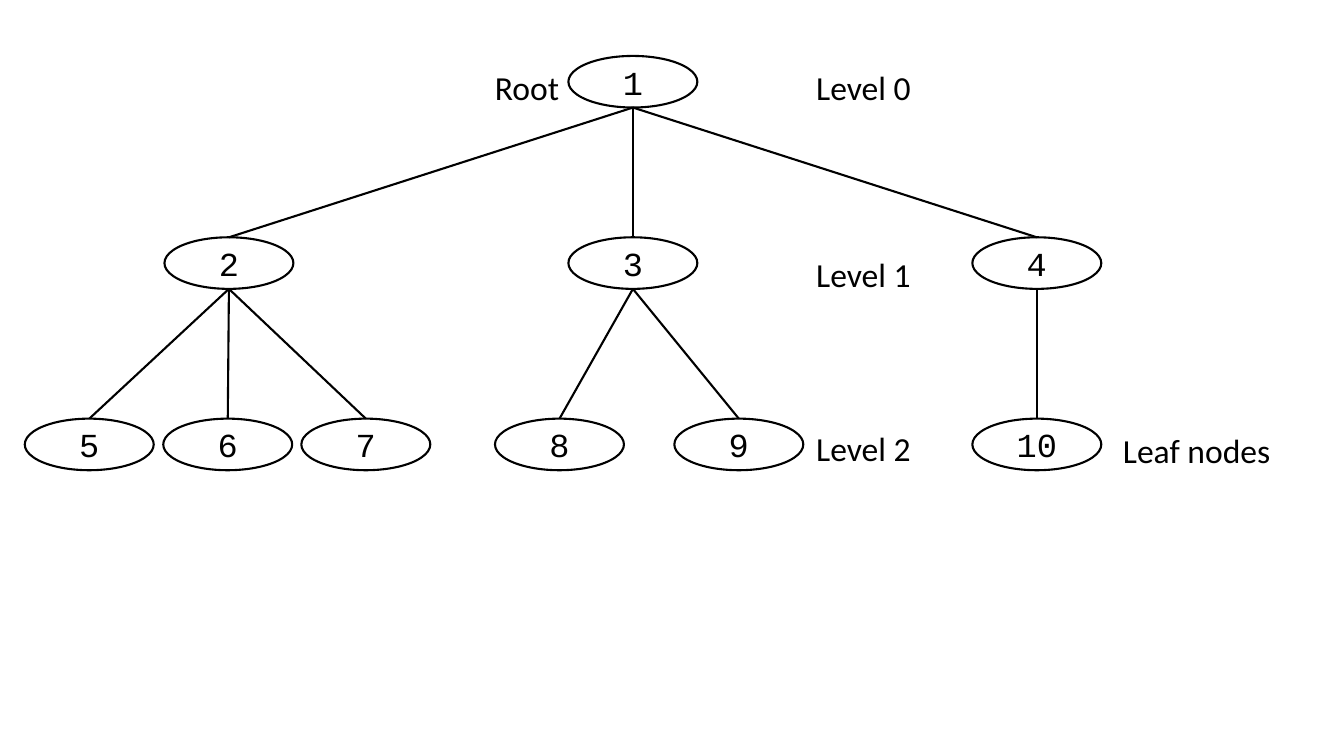
from lxml import etree
from pptx import Presentation
from pptx.dml.color import RGBColor
from pptx.enum.shapes import MSO_CONNECTOR, MSO_SHAPE
from pptx.enum.text import MSO_ANCHOR, MSO_AUTO_SIZE, PP_ALIGN
from pptx.oxml.ns import qn
from pptx.util import Cm, Pt

STRAIGHT = MSO_CONNECTOR.STRAIGHT
OVAL = MSO_SHAPE.OVAL
MIDDLE = MSO_ANCHOR.MIDDLE
FIT_SHAPE = MSO_AUTO_SIZE.SHAPE_TO_FIT_TEXT
CENTER, LEFT = PP_ALIGN.CENTER, PP_ALIGN.LEFT

BLACK = "000000"
NODE_WIDTH, NODE_HEIGHT = 3.25, 1.3
LEVEL_TOPS = [1.41 + 4.57 * level for level in range(3)]


def color(hex_string):
    """Turn a hex string into a colour."""
    return RGBColor.from_string(hex_string)


def write(shape, text, font="Calibri", size=24, align=LEFT):
    """Put one formatted line of text into a shape."""
    shape.text_frame.word_wrap = True
    para = shape.text_frame.paragraphs[0]
    para.alignment = align
    span = para.add_run()
    span.text = text
    span.font.name = font
    span.font.size = Pt(size)
    span.font.color.rgb = color(BLACK)


deck = Presentation()
deck.slide_width, deck.slide_height = Cm(33.87), Cm(19.05)
page = deck.slides.add_slide(deck.slide_layouts[6])

# Nodes: number -> (centre, level)
nodes = {
    1: (15.95, 0),
    2: (5.77, 1), 3: (15.95, 1), 4: (26.13, 1),
    5: (2.25, 2), 6: (5.74, 2), 7: (9.22, 2),
    8: (14.1, 2), 9: (18.62, 2), 10: (26.13, 2),
}
for number, (center, level) in nodes.items():
    node = page.shapes.add_shape(
        OVAL, Cm(center - NODE_WIDTH / 2), Cm(LEVEL_TOPS[level]),
        Cm(NODE_WIDTH), Cm(NODE_HEIGHT))
    node.shadow.inherit = False
    node.fill.background()
    node.line.color.rgb = color(BLACK)
    node.line.width = Pt(1.5)
    node.text_frame.vertical_anchor = MIDDLE
    write(node, str(number), font="Courier New", align=CENTER)

# Edges run from the bottom of a parent to the top of each child
children = {1: [2, 3, 4], 2: [5, 6, 7], 3: [8, 9], 4: [10]}
for parent, parent_children in children.items():
    start, level = nodes[parent]
    for child in parent_children:
        edge = page.shapes.add_connector(
            STRAIGHT, Cm(start), Cm(LEVEL_TOPS[level] + NODE_HEIGHT),
            Cm(nodes[child][0]), Cm(LEVEL_TOPS[level + 1]))
        edge.line.color.rgb = color(BLACK)
        edge.line.width = Pt(1.5)
        etree.SubElement(edge._element.spPr, qn("a:effectLst"))

# Labels: text, left, top, width
labels = [
    ("Level 0", 20.32, 1.55, 4.19),
    ("Level 1", 20.32, 6.28, 4.19),
    ("Level 2", 20.32, 10.65, 4.19),
    ("Root", 12.22, 1.55, 4.19),
    ("Leaf nodes", 28.05, 10.72, 4.88),
]
for text, left, top, width in labels:
    box = page.shapes.add_textbox(Cm(left), Cm(top), Cm(width), Cm(1.28))
    write(box, text)
    box.text_frame.auto_size = FIT_SHAPE

deck.save("out.pptx")
